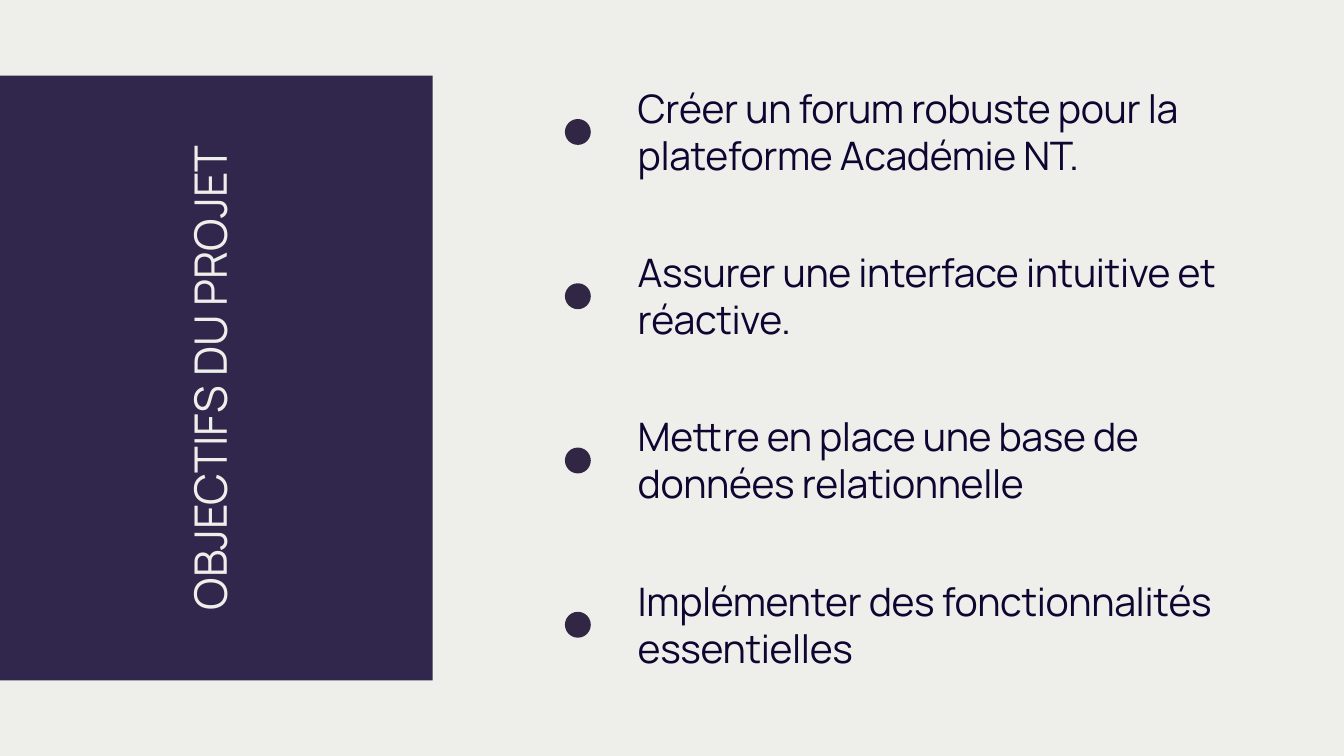
import pptx
import pptx.util
import pptx.dml.color
import pptx.enum.shapes
import pptx.enum.text
import pptx.oxml
import pptx.oxml.ns

TITLE = "OBJECTIFS DU PROJET"
GOALS = [
    "Créer un forum robuste pour la plateforme Académie NT.",
    "Assurer une interface intuitive et réactive.",
    "Mettre en place une base de données relationnelle",
    "Implémenter des fonctionnalités essentielles",
]
FONT = "Manrope"
PAPER, PANEL, DOT = "EEEFEA", "100431", "100427"
OPACITY = 85

SLIDE_SIZE = (1920, 1080)
PANEL_BOX = (-22, 108, 640, 864)
TITLE_BOX = (-67, 502, 730, 76)
DOT_LEFT, DOT_TOP, DOT_SIZE = 807, 170, 37
GOALS_LEFT, GOALS_TOP, GOALS_WIDTH, GOAL_HEIGHT = 911, 120, 826, 135
FIRST_TO_LAST = 704
PITCH = FIRST_TO_LAST / (len(GOALS) - 1)
GOAL_LINE = 50.4
POINTS_PER_PX = 0.75


def px(length):
    return pptx.util.Emu(round(length * 9525))


def color(value):
    return pptx.dml.color.RGBColor.from_string(value)


def place(shape, box):
    shape.left, shape.top, shape.width, shape.height = map(px, box)


def add_filled(slide, kind, box, fill):
    shape = slide.shapes.add_shape(kind, *map(px, box))
    shape.shadow.inherit = False
    shape.line.fill.background()
    shape.fill.solid()
    shape.fill.fore_color.rgb = color(fill)
    srgb = shape.fill._xPr.find(".//" + pptx.oxml.ns.qn("a:srgbClr"))
    alpha = pptx.oxml.parse_xml(
        f'<a:alpha {pptx.oxml.ns.nsdecls("a")} val="{OPACITY * 1000}"/>')
    srgb.append(alpha)
    return shape


def fill_text(shape, text, anchor):
    frame = shape.text_frame
    frame.text = text
    frame.word_wrap = True
    frame.auto_size = pptx.enum.text.MSO_AUTO_SIZE.NONE
    frame.vertical_anchor = anchor
    frame.margin_left = frame.margin_top = frame.margin_right = frame.margin_bottom = 0
    return frame.paragraphs


def format_paragraph(paragraph, size, fill, line, align):
    paragraph.alignment = align
    paragraph.line_spacing = pptx.util.Pt(line)
    paragraph.space_before = paragraph.space_after = pptx.util.Pt(0)
    for run in paragraph.runs:
        run.font.name = FONT
        run.font.size = pptx.util.Pt(size)
        run.font.color.rgb = color(fill)


def main():
    deck = pptx.Presentation()
    deck.slide_width, deck.slide_height = map(px, SLIDE_SIZE)
    slide = deck.slides.add_slide(deck.slide_layouts[1])
    slide.background.fill.solid()
    slide.background.fill.fore_color.rgb = color(PAPER)

    panel = add_filled(slide, pptx.enum.shapes.MSO_SHAPE.RECTANGLE, PANEL_BOX, PANEL)
    slide.shapes._spTree.insert(2, panel._element)

    title = slide.shapes.title
    place(title, TITLE_BOX)
    title.rotation = 270
    heading = fill_text(title, TITLE, pptx.enum.text.MSO_ANCHOR.TOP)[0]
    format_paragraph(heading, 48, PAPER, 57.6, pptx.enum.text.PP_ALIGN.CENTER)

    goals = slide.placeholders[1]
    place(goals, (GOALS_LEFT, GOALS_TOP, GOALS_WIDTH, FIRST_TO_LAST + GOAL_HEIGHT))
    gap = PITCH * POINTS_PER_PX - 2 * GOAL_LINE
    paragraphs = fill_text(goals, "\n".join(GOALS), pptx.enum.text.MSO_ANCHOR.TOP)
    for index, goal in enumerate(paragraphs):
        properties = goal._p.get_or_add_pPr()
        properties.set("marL", "0")
        properties.set("indent", "0")
        properties.append(pptx.oxml.parse_xml(
            f'<a:buNone {pptx.oxml.ns.nsdecls("a")}/>'))
        format_paragraph(goal, 42, PANEL, GOAL_LINE, pptx.enum.text.PP_ALIGN.LEFT)
        goal.runs[0].font._element.set("spc", "-40")
        if index:
            goal.space_before = pptx.util.Pt(round(gap, 1))
        add_filled(slide, pptx.enum.shapes.MSO_SHAPE.OVAL,
                   (DOT_LEFT, DOT_TOP + index * PITCH, DOT_SIZE, DOT_SIZE), DOT)

    deck.save("out.pptx")


if __name__ == "__main__":
    main()
